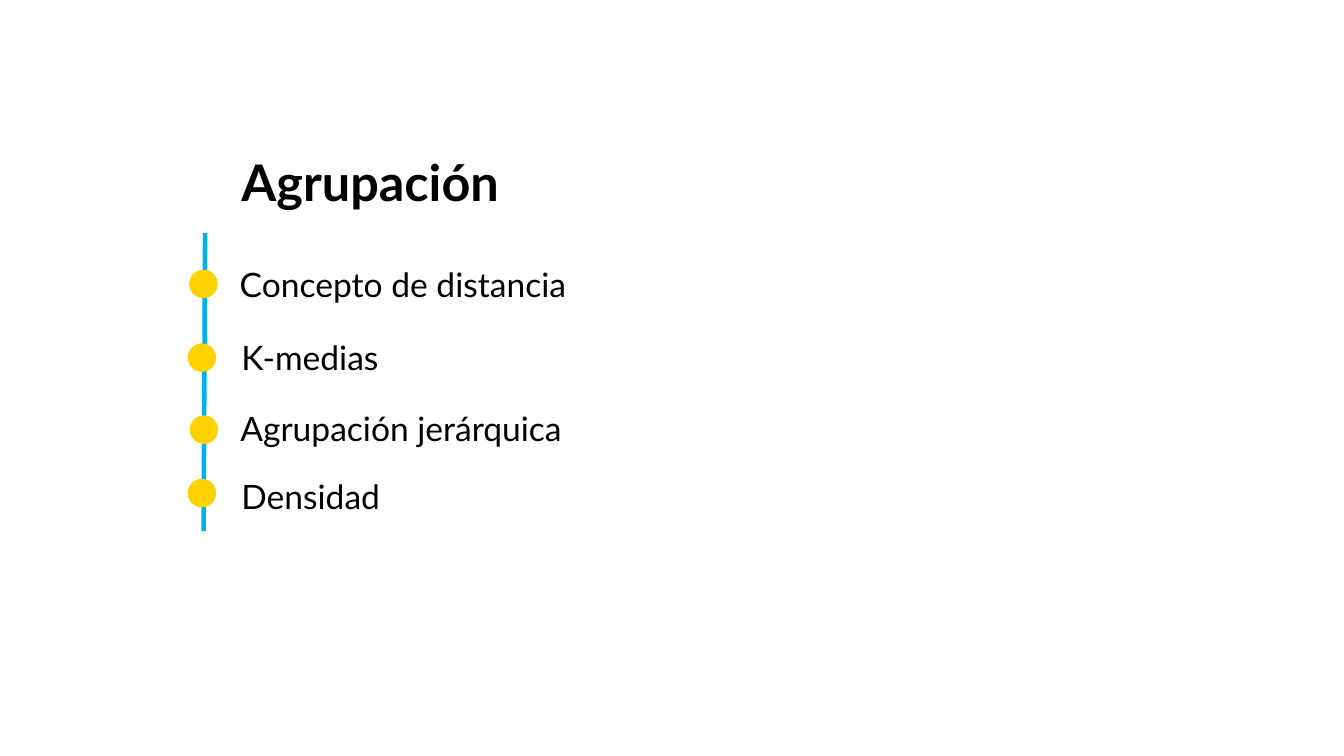
import pptx
import pptx.dml.color
import pptx.enum.shapes
import pptx.enum.text
import pptx.util
from lxml import etree

BLACK = pptx.dml.color.RGBColor(0x00, 0x00, 0x00)
BLUE = pptx.dml.color.RGBColor(0x00, 0xB0, 0xF0)
YELLOW = pptx.dml.color.RGBColor(0xFE, 0xD2, 0x00)
FONT = "Lato"
WIDTH, HEIGHT = pptx.util.Inches(26.67), pptx.util.Inches(15)
DOT = pptx.util.Inches(0.55)
ALIGN = pptx.enum.text.PP_ALIGN
ITEMS = [
    ("Concepto de distancia", (17.47, 34.6, 46.31), (14.1, 35.73), ALIGN.LEFT),
    ("K-medias", (17.59, 44.27, 46.19), (13.99, 45.47), ALIGN.LEFT),
    ("Agrupación jerárquica", (17.51, 53.67, 53.54), (14.14, 55), ALIGN.LEFT),
    ("Densidad", (17.59, 62.67, 36.48), (13.99, 63.4), ALIGN.JUSTIFY),
]


def across(percent):
    """Return a share of the slide's width."""
    return round(WIDTH * percent / 100)


def down(percent):
    """Return a share of the slide's height."""
    return round(HEIGHT * percent / 100)


def write(tf, text, size, align, bold=False):
    """Write one formatted run into a text frame."""
    tf.word_wrap = True
    p = tf.paragraphs[0]
    p.alignment = align
    r = p.add_run()
    r.text = text
    r.font.name = FONT
    r.font.size = pptx.util.Pt(size)
    r.font.bold = bold
    r.font.color.rgb = BLACK
    return p


def add_title(s, text):
    """Place and fill the title placeholder."""
    sp = s.shapes.title
    sp.left, sp.top = across(17.59), down(20.8)
    sp.width, sp.height = across(38.51), down(7.47)
    tf = sp.text_frame
    tf.auto_size = pptx.enum.text.MSO_AUTO_SIZE.NONE
    tf.vertical_anchor = pptx.enum.text.MSO_ANCHOR.MIDDLE
    p = write(tf, text, 72, ALIGN.LEFT, bold=True)
    p.line_spacing = 0.9
    p.space_before = pptx.util.Pt(0)


def add_timeline(s):
    """Draw the line that carries the dots."""
    line = s.shapes.add_connector(
        pptx.enum.shapes.MSO_CONNECTOR.STRAIGHT,
        across(15.26), down(30.8), across(15.15), down(70.27))
    line.line.color.rgb = BLUE
    line.line.width = pptx.util.Pt(6.5)
    sp_pr = line._element.spPr
    etree.SubElement(sp_pr, pptx.oxml.ns.qn("a:effectLst"))


def add_dot(s, x, y):
    """Draw one dot on the line."""
    sp = s.shapes.add_shape(
        pptx.enum.shapes.MSO_SHAPE.OVAL, across(x), down(y), DOT, DOT)
    sp.shadow.inherit = False
    sp.fill.solid()
    sp.fill.fore_color.rgb = YELLOW
    sp.line.color.rgb = YELLOW
    sp.line.width = pptx.util.Pt(1)


def add_label(s, text, x, y, width, align):
    """Write the topic beside a dot."""
    sp = s.shapes.add_textbox(across(x), down(y), across(width), down(6.07))
    tf = sp.text_frame
    write(tf, text, 48, align)
    tf.auto_size = pptx.enum.text.MSO_AUTO_SIZE.SHAPE_TO_FIT_TEXT


def main():
    """Build the slide and save it."""
    prs = pptx.Presentation()
    prs.slide_width, prs.slide_height = WIDTH, HEIGHT
    s = prs.slides.add_slide(prs.slide_layouts[5])
    add_title(s, "Agrupación")
    add_timeline(s)
    for text, box, dot, align in ITEMS:
        add_dot(s, *dot)
        add_label(s, text, *box, align)
    prs.save("out.pptx")


if __name__ == "__main__":
    main()
